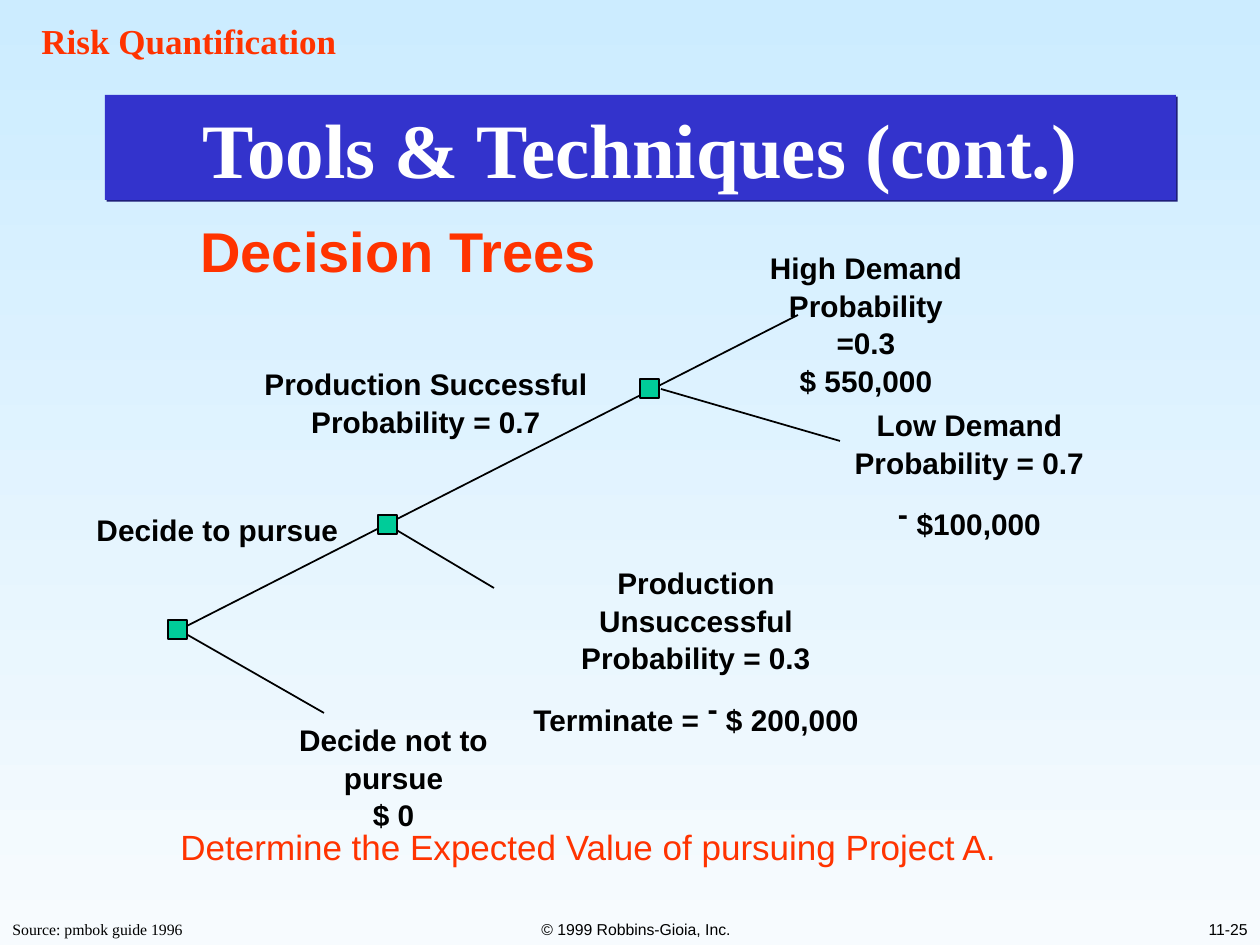
from lxml import etree
from pptx import Presentation
from pptx import util as u
from pptx.dml.color import RGBColor
from pptx.enum import shapes, text
from pptx.oxml import ns

PX = 914400 // 126
BLACK = RGBColor(0, 0, 0)
WHITE = RGBColor(255, 255, 255)
ORANGE = RGBColor(0xFF, 0x33, 0x00)
BLUE = RGBColor(0x33, 0x33, 0xCC)
GREEN = RGBColor(0x00, 0xCC, 0x99)
SKY = RGBColor(0xCC, 0xEC, 0xFF)
PALE = RGBColor(0xF7, 0xFB, 0xFE)
LEFT, CENTER, RIGHT = text.PP_ALIGN.LEFT, text.PP_ALIGN.CENTER, text.PP_ALIGN.RIGHT
TOP, MIDDLE, BOTTOM = text.MSO_ANCHOR.TOP, text.MSO_ANCHOR.MIDDLE, text.MSO_ANCHOR.BOTTOM
LABEL = {"name": "Arial", "size": u.Pt(17), "bold": True}


def write(shape, lines, style, color, align=LEFT, anchor=TOP, wrap=False, spacing=1.0):
    frame = shape.text_frame
    frame.word_wrap = wrap
    frame.vertical_anchor = anchor
    for index, line in enumerate(lines):
        paragraph = frame.add_paragraph() if index else frame.paragraphs[0]
        paragraph.alignment = align
        paragraph.line_spacing = spacing
        for part in line.split("|"):
            run = paragraph.add_run()
            run.text = part
            for name, value in style.items():
                setattr(run.font, name, value)
            run.font.color.rgb = color
            if part.strip() == "-":
                run.font.size = u.Pt(30)
                run.font._element.set("baseline", "20000")


def place(left, top, width, height):
    return [value * PX for value in (left, top, width, height)]


presentation = Presentation()
presentation.slide_width = 1260 * PX
presentation.slide_height = 945 * PX
slide = presentation.slides.add_slide(presentation.slide_layouts[6])

background = slide.background.fill
background.gradient()
background.gradient_angle = 270
for stop, color, position in zip(background.gradient_stops, (SKY, PALE), (0, 1)):
    stop.color.rgb = color
    stop.position = position

banner = slide.shapes.add_shape(shapes.MSO_SHAPE.RECTANGLE, *place(105, 95, 1071, 105))
banner.shadow.inherit = False
banner.fill.solid()
banner.fill.fore_color.rgb = BLUE
banner.line.fill.background()
effects = banner._element.spPr.find(ns.qn("a:effectLst"))
shadow = etree.SubElement(effects, ns.qn("a:outerShdw"), dist="17780", dir="2700000", algn="ctr", rotWithShape="0")
etree.SubElement(shadow, ns.qn("a:srgbClr"), val="1E1E79")
title_style = {"name": "Times New Roman", "size": u.Pt(44), "bold": True}
write(banner, ["Tools & Techniques (cont.)"], title_style, WHITE, CENTER, MIDDLE, True)

captions = [
    ((0, 914, 195, 31), "Source: pmbok guide 1996", "Times New Roman", 9, False, BLACK, LEFT, TOP, False),
    ((431, 882, 410, 63), "© 1999 Robbins-Gioia, Inc.", "Arial", 9, False, BLACK, CENTER, BOTTOM, True),
    ((851, 882, 409, 63), "11-25", "Arial", 9, False, BLACK, RIGHT, BOTTOM, True),
    ((29, 13, 320, 55), "Risk Quantification", "Times New Roman", 20, True, ORANGE, LEFT, TOP, False),
    ((188, 210, 424, 81), "Decision Trees", "Arial", 32, True, ORANGE, LEFT, TOP, False),
    ((168, 819, 976, 55), "Determine the Expected Value of pursuing Project A.", "Arial", 20, False, ORANGE, LEFT, TOP, True),
]
for box, words, font, size, bold, color, align, anchor, wrap in captions:
    style = {"name": font, "size": u.Pt(size), "bold": bold}
    write(slide.shapes.add_textbox(*place(*box)), [words], style, color, align, anchor, wrap)

branches = [
    (179, 630, 798, 315),
    (179, 630, 324, 713),
    (388, 525, 494, 588),
    (661, 389, 840, 441),
]
for ends in branches:
    branch = slide.shapes.add_connector(shapes.MSO_CONNECTOR.STRAIGHT, *place(*ends))
    branch.line.color.rgb = BLACK
    branch.line.width = u.Pt(1)
    etree.SubElement(branch._element.spPr, ns.qn("a:effectLst"))

for left, top in ((168, 620), (378, 515), (640, 379)):
    node = slide.shapes.add_shape(shapes.MSO_SHAPE.RECTANGLE, *place(left, top, 19, 19))
    node.shadow.inherit = False
    node.fill.solid()
    node.fill.fore_color.rgb = GREEN
    node.line.color.rgb = BLACK
    node.line.width = u.Pt(1)

labels = [
    ((84, 504, 267, 83), ["Decide to pursue"]),
    ((233, 714, 321, 83), ["Decide not to pursue", "$ 0"]),
    ((252, 358, 348, 83), ["Production Successful", "Probability = 0.7"]),
    ((743, 242, 246, 155), ["High Demand", "Probability =0.3", "$ 550,000"]),
    ((504, 557, 384, 146), ["Production Unsuccessful", "Probability = 0.3", "Terminate = |-| $ 200,000"]),
    ((842, 399, 255, 183), ["Low Demand", "Probability = 0.7", "- |$100,000"]),
]
for box, lines in labels:
    write(slide.shapes.add_textbox(*place(*box)), lines, LABEL, BLACK, CENTER, spacing=1.05)

presentation.save("out.pptx")
